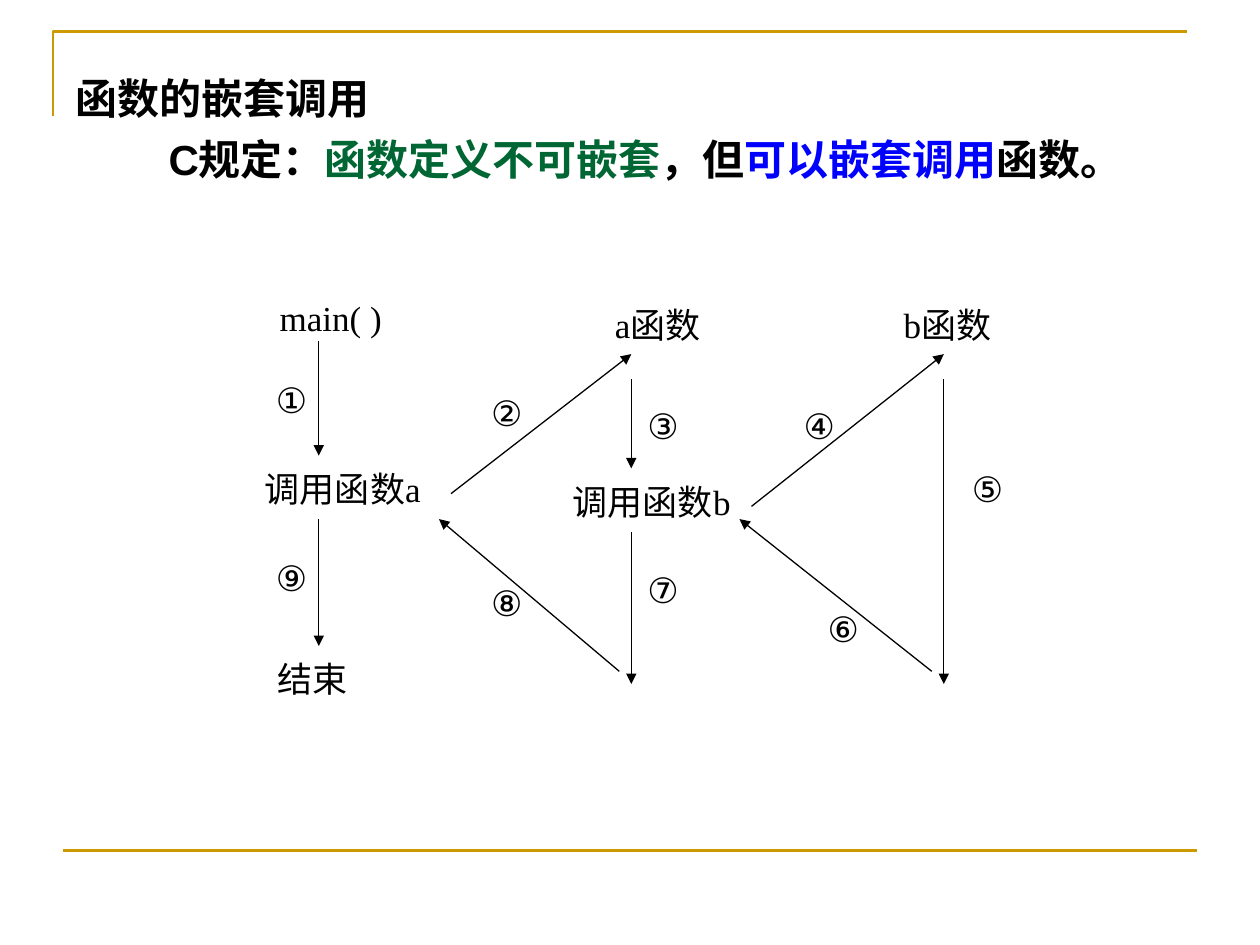
import pptx
import pptx.dml.color
import pptx.enum.shapes
import pptx.enum.text
import pptx.util
from lxml import etree

LEFT, TOP = 2.53, 2.71  # start of the first call arrow
COLUMN, ROW = 0.0954, 0.1007  # grid step; the three lanes lie 26 columns apart
GOLD, BLACK, GREEN, BLUE = "CC9900", "000000", "006633", "0000FF"

inch = pptx.util.Inches
color = pptx.dml.color.RGBColor.from_string


def add_line(start, end, tint, weight, arrow=False):
    line = page.shapes.add_connector(
        pptx.enum.shapes.MSO_CONNECTOR.STRAIGHT,
        *[inch(length) for length in (*start, *end)])
    line.line.color.rgb = color(tint)
    line.line.width = pptx.util.Pt(weight)
    properties = line._element.spPr
    namespace = "{" + properties.nsmap["a"] + "}"
    if arrow:
        etree.SubElement(line.line._get_or_add_ln(), namespace + "tailEnd", type="triangle")
    etree.SubElement(properties, namespace + "effectLst")


def grid(column, row):
    """Turn a diagram grid position into inches on the page."""
    return LEFT + column * COLUMN, TOP + row * ROW


deck = pptx.Presentation()
deck.slide_width, deck.slide_height = inch(10), inch(7.5)
page = deck.slides.add_slide(deck.slide_layouts[6])

# Gold frame
builder = page.shapes.build_freeform(inch(0.42), inch(0.92))
builder.add_line_segments([(inch(0.42), inch(0.25)), (inch(9.42), inch(0.25))], close=False)
corner = builder.convert_to_shape()
corner.shadow.inherit = False
corner.fill.background()
corner.line.color.rgb = color(GOLD)
corner.line.width = pptx.util.Pt(1.5)
add_line((0.5, 6.75), (9.5, 6.75), GOLD, 1.5)

# Heading and rule
box = page.shapes.add_textbox(inch(0.5), inch(0.53), inch(9.08), inch(1.67))
box.text_frame.word_wrap = True
heading = [
    (0, [("函数的嵌套调用", BLACK)]),
    (0.74, [("C规定：", BLACK), ("函数定义不可嵌套", GREEN), ("，但", BLACK),
            ("可以嵌套调用", BLUE), ("函数。", BLACK)]),
]
for number, (indent, spans) in enumerate(heading):
    para = box.text_frame.add_paragraph() if number else box.text_frame.paragraphs[0]
    para.font.name, para.font.size, para.font.bold = "Arial", pptx.util.Pt(24), True
    para.space_before = pptx.util.Pt(6)
    para._p.get_or_add_pPr().set("marL", str(inch(indent)))
    for words, tint in spans:
        span = para.add_run()
        span.text = words
        span.font.color.rgb = color(tint)

# Labels: text, centre column, top row, width in columns, font
names = [
    ("main( )", 1, -4.1, 10.6), ("调用函数a", 2, 9.4, 15.9), ("结束", -0.5, 24.4, 7.9),
    ("a函数", 28.2, -3.5, 9.9), ("b函数", 52.3, -3.5, 10.1), ("调用函数b", 27.7, 10.4, 15.9),
]
steps = [(-2.3, 2.4), (15.6, 3.4), (28.6, 4.4), (41.6, 4.4), (55.6, 9.4),
         (43.6, 20.4), (28.6, 17.4), (15.6, 18.4), (-2.3, 16.4)]
labels = [(*name, "Times New Roman") for name in names]
labels += [(mark, *place, 4.6, "Arial") for mark, place in zip("①②③④⑤⑥⑦⑧⑨", steps)]
for words, centre, row, width, font in labels:
    left, top = grid(centre - width / 2, row)
    box = page.shapes.add_textbox(inch(left), inch(top), inch(width * COLUMN), inch(0.44))
    box.text_frame.word_wrap = False
    box.text_frame.auto_size = pptx.enum.text.MSO_AUTO_SIZE.SHAPE_TO_FIT_TEXT
    box.text_frame.vertical_anchor = pptx.enum.text.MSO_ANCHOR.MIDDLE
    para = box.text_frame.paragraphs[0]
    para.text = words
    para.alignment = pptx.enum.text.PP_ALIGN.CENTER
    para.font.name, para.font.size = font, pptx.util.Pt(20)
    para.font.color.rgb = color(BLACK)

# Call order arrows: start and end as (column, row), steps 1 to 9
arrows = [
    ((0, 0), (0, 9)), ((11, 12), (26, 1)), ((26, 3), (26, 10)),
    ((36, 13), (52, 1)), ((52, 3), (52, 27)), ((51, 26), (35, 14)),
    ((26, 15), (26, 27)), ((25, 26), (10, 14)), ((0, 14), (0, 24)),
]
for start, end in arrows:
    add_line(grid(*start), grid(*end), BLACK, 0.75, arrow=True)

deck.save("out.pptx")
